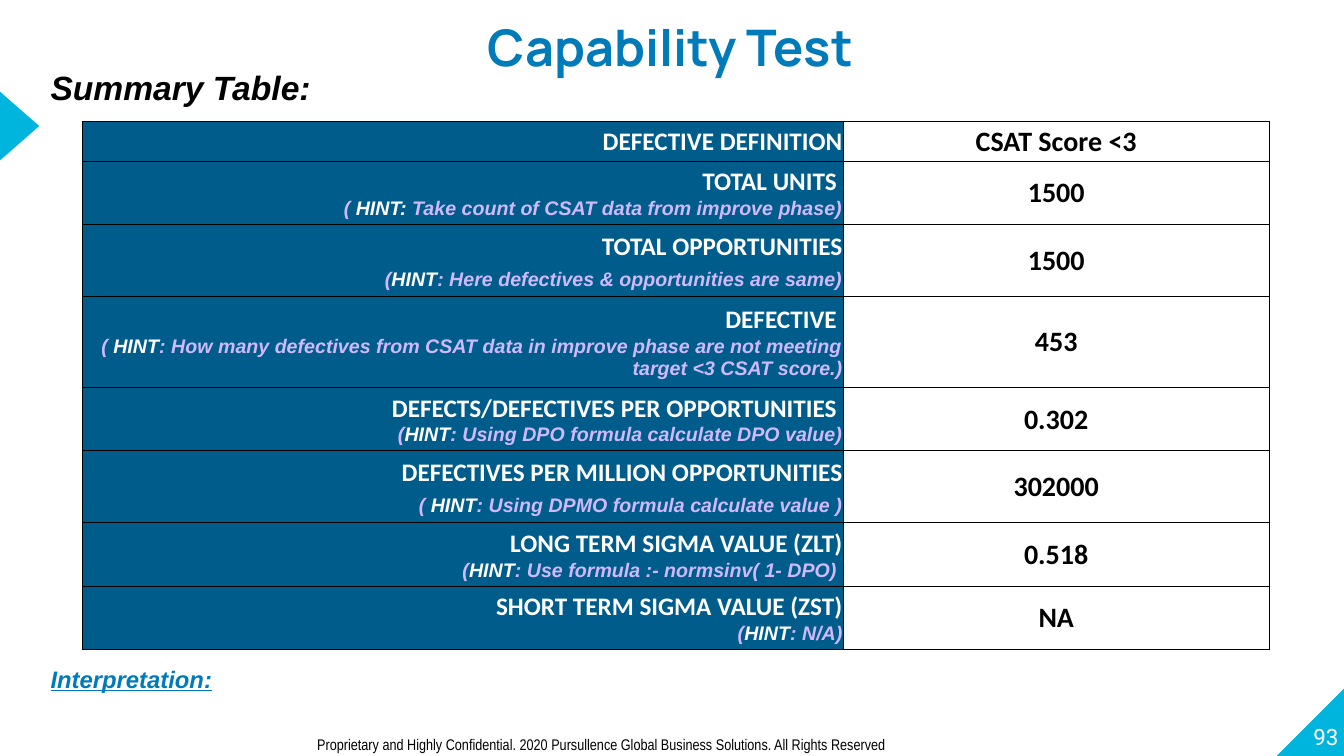
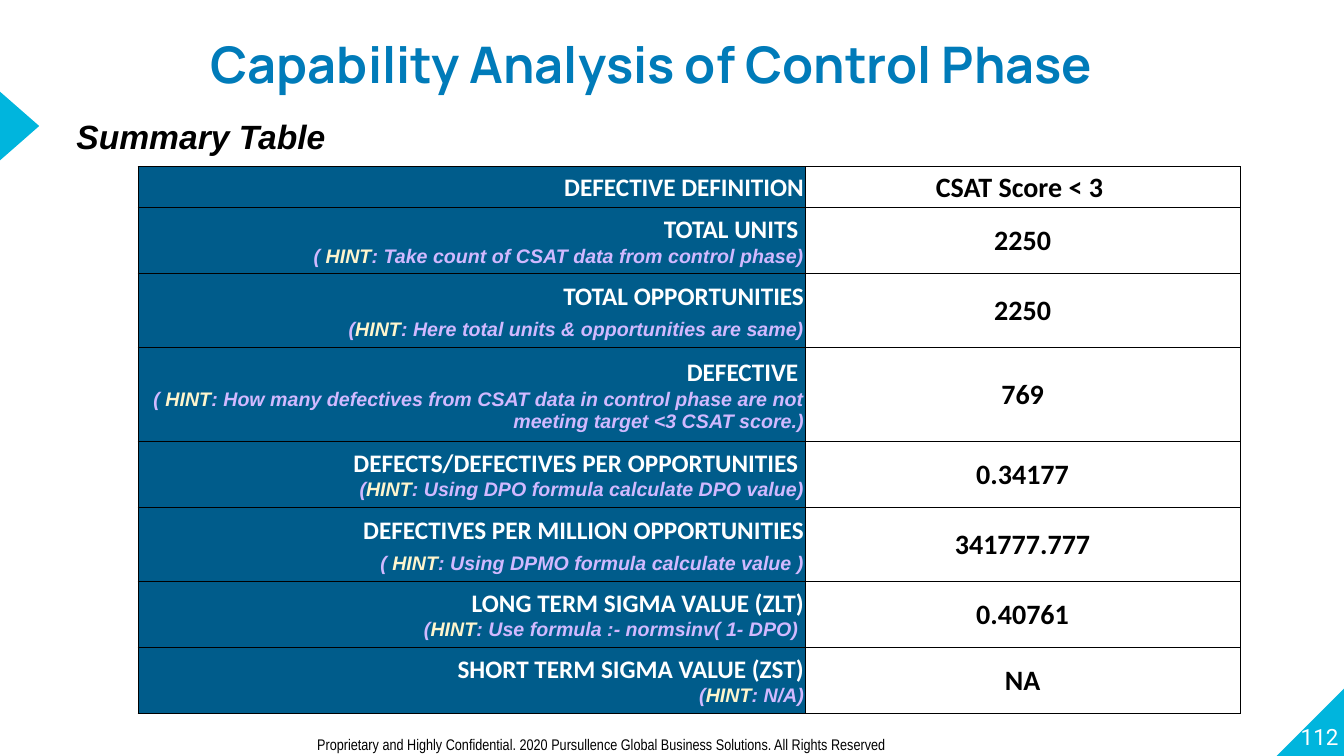
from lxml import etree
from pptx import Presentation
from pptx.dml.color import RGBColor
from pptx.enum.shapes import MSO_SHAPE as Shape
from pptx.enum.text import MSO_ANCHOR as Anchor, PP_ALIGN as Align
from pptx.oxml.ns import qn
from pptx.util import Pt

BLUE, CYAN, NAVY = "007BB9", "00B5DD", "005C8B"
BLACK, WHITE, LILAC, CREAM = "000000", "FFFFFF", "D1B9FF", "FEF5CD"
FOOTER = ("Proprietary and Highly Confidential. 2020 Pursullence Global "
          "Business Solutions. All Rights Reserved")


def color(hex_string):
    return RGBColor.from_string(hex_string)


def style(span, size, font, ink, bold=False, italic=False, underline=None):
    span.font.size, span.font.name = Pt(size), font
    span.font.bold, span.font.italic = bold, italic
    span.font.underline = underline
    span.font.color.rgb = color(ink)


class DeckBuilder:
    """Holds the shared style and the slide being built."""

    def __init__(self):
        self.deck = Presentation()
        self.deck.slide_width, self.deck.slide_height = Pt(960), Pt(540)
        self.page = None

    def new_page(self, number, title, left, top):
        self.page = self.deck.slides.add_slide(self.deck.slide_layouts[5])
        # Corner and edge marks
        corner = self.mark(Shape.RIGHT_TRIANGLE, 912, 491, 49, 49)
        corner._element.spPr.find(qn("a:xfrm")).set("flipH", "1")
        self.mark(Shape.ISOSCELES_TRIANGLE, -10.5, 76, 49, 28).rotation = 90
        # Page number and footer
        self.text(str(number), 908, 487, 48, 49, 16, "Roboto", WHITE,
                  align=Align.RIGHT, anchor=Anchor.BOTTOM, inset=0)
        self.text(FOOTER, 219.5, 521.5, 613, 21, 11, "Arial Narrow", BLACK)
        self.title(title, left, top)

    def mark(self, kind, left, top, width, height):
        shape = self.page.shapes.add_shape(
            kind, Pt(left), Pt(top), Pt(width), Pt(height))
        shape.shadow.inherit = False
        shape.fill.solid()
        shape.fill.fore_color.rgb = color(CYAN)
        shape.line.fill.background()
        return shape

    def fill_box(self, box, words, align, anchor, inset=None):
        frame = box.text_frame
        frame.text = words
        frame.word_wrap = True
        frame.vertical_anchor = anchor
        if inset is not None:
            frame.margin_left = frame.margin_right = Pt(inset)
            frame.margin_top = frame.margin_bottom = Pt(inset)
        para = frame.paragraphs[0]
        para.alignment = align
        return para

    def title(self, words, left, top):
        box = self.page.shapes.title
        box.left, box.top, box.width, box.height = (
            Pt(left), Pt(top), Pt(699), Pt(55))
        para = self.fill_box(box, words, Align.CENTER, Anchor.TOP, 0)
        para.line_spacing = 1.5
        style(para.runs[0], 36, "Manrope", BLUE, bold=True)

    def text(self, words, left, top, width, height, size, font, ink,
             align=Align.LEFT, anchor=Anchor.TOP, inset=None, **looks):
        box = self.page.shapes.add_textbox(
            Pt(left), Pt(top), Pt(width), Pt(height))
        para = self.fill_box(box, words, align, anchor, inset)
        style(para.runs[0], size, font, ink, **looks)

    def heading(self, words, left, top):
        self.text(words, left, top, 394, 36, 24, "Arial", BLACK,
                  bold=True, italic=True)

    def cell(self, cell, words, size, ink, fill, align):
        cell.margin_left = cell.margin_right = cell.margin_top = Pt(0.7)
        cell.margin_bottom = Pt(0)
        cell.vertical_anchor = Anchor.MIDDLE
        if fill:
            cell.fill.solid()
            cell.fill.fore_color.rgb = color(fill)
        else:
            cell.fill.background()
        cell.text_frame.text = words
        para = cell.text_frame.paragraphs[0]
        para.alignment = align
        style(para.runs[0], size, "Calibri", ink, bold=True)
        self.borders(cell)

    def borders(self, cell):
        props = cell._tc.get_or_add_tcPr()
        for place, side in enumerate(("lnL", "lnR", "lnT", "lnB")):
            line = etree.Element(qn("a:" + side), w=str(Pt(0.5)))
            solid = etree.SubElement(line, qn("a:solidFill"))
            etree.SubElement(solid, qn("a:srgbClr"), val=BLACK)
            props.insert(place, line)

    def hint(self, cell, opening, keyword, rest, ink, gap):
        para = cell.text_frame.add_paragraph()
        para.alignment = Align.RIGHT
        para.space_before = Pt(gap)
        for words, shade in ((opening, LILAC), (keyword, ink), (rest, LILAC)):
            span = para.add_run()
            span.text = words
            style(span, 14, "Arial", shade, bold=True, italic=True)

    def summary_table(self, left, top, widths, heights, rows, values, hint_ink):
        frame = self.page.shapes.add_table(
            len(rows), 2, Pt(left), Pt(top), Pt(sum(widths)), Pt(sum(heights)))
        table = frame.table
        table.first_row = table.horz_banding = False
        for column, width in zip(table.columns, widths):
            column.width = Pt(width)
        for index, ((label, hint, gap), value) in enumerate(zip(rows, values)):
            table.rows[index].height = Pt(heights[index])
            name_cell, value_cell = table.cell(index, 0), table.cell(index, 1)
            self.cell(name_cell, label, 18, WHITE, NAVY, Align.RIGHT)
            self.cell(value_cell, value, 20, BLACK, None, Align.CENTER)
            if hint:
                self.hint(name_cell, *hint, hint_ink, gap)


def summary_rows(phase, same, units_keyword):
    """Each row: label, hint in three parts, space above the hint."""
    return [
        ("DEFECTIVE DEFINITION", None, 0),
        ("TOTAL UNITS ", ("( ", *units_keyword,), 0),
        ("TOTAL OPPORTUNITIES",
         ("(", "HINT", f": Here {same} & opportunities are same)"), 4.5),
        ("DEFECTIVE ",
         ("( ", "HINT", f": How many defectives from CSAT data in {phase} "
          "phase are not meeting target <3 CSAT score.)"), 0),
        ("DEFECTS/DEFECTIVES PER OPPORTUNITIES ",
         ("(", "HINT", ": Using DPO formula calculate DPO value)"), 0),
        ("DEFECTIVES PER MILLION OPPORTUNITIES",
         ("( ", "HINT", ": Using DPMO formula calculate value )"), 4.5),
        ("LONG TERM SIGMA VALUE (ZLT)",
         ("(", "HINT", ": Use formula :- normsinv( 1- DPO) "), 0),
        ("SHORT TERM SIGMA VALUE (ZST)", ("(", "HINT", ": N/A)"), 0),
    ]


def row_heights(header, plain, spaced, tall):
    return [header, plain, spaced, tall, plain, spaced, plain, plain]


def main():
    builder = DeckBuilder()

    # Capability test, improve phase
    builder.new_page(93, "Capability Test ", 133, -10)
    builder.heading("Summary Table:", 29, 44.5)
    builder.summary_table(
        59, 86.5, (543.5, 304), row_heights(28.5, 45.3, 51.4, 65),
        summary_rows("improve", "defectives",
                     ("HINT:", " Take count of CSAT data from improve phase)")),
        ("CSAT Score <3", "1500", "1500", "453", "0.302", "302000", "0.518",
         "NA"), WHITE)
    builder.text("Interpretation:", 29, 471, 882, 28, 17, "Arial", BLUE,
                 align=Align.JUSTIFY, bold=True, italic=True, underline=True)

    # Capability analysis, control phase
    builder.new_page(112, "Capability Analysis of Control Phase", 116, 2)
    builder.heading("Summary Table", 47.5, 79.5)
    builder.summary_table(
        98.5, 119, (476.5, 311), row_heights(29.3, 47, 53, 67),
        summary_rows("control", "total units",
                     ("HINT", ": Take count of CSAT data from control phase)")),
        ("CSAT Score < 3 ", "2250", "2250", "769", "0.34177", "341777.777",
         "0.40761", "NA"), CREAM)

    builder.deck.save("out.pptx")


if __name__ == "__main__":
    main()
